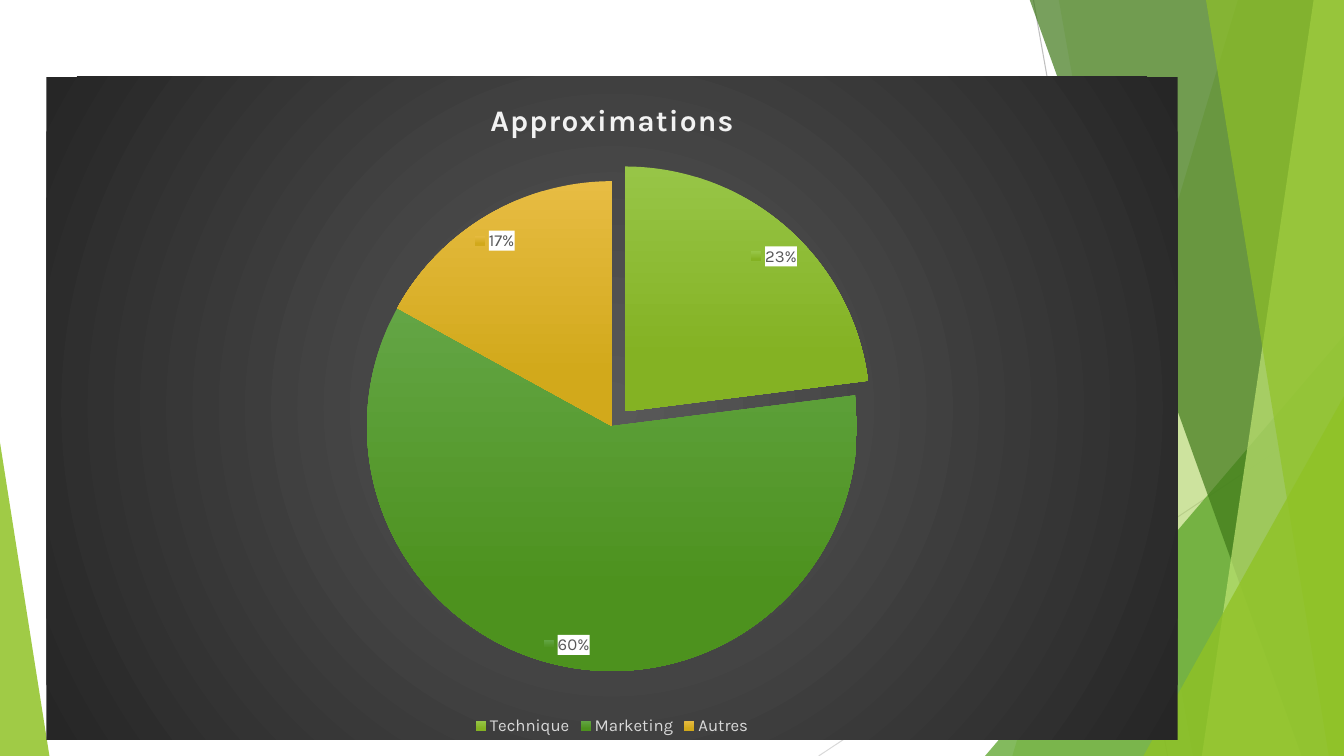
from dataclasses import dataclass

from lxml import etree
from pptx import Presentation
from pptx.chart.data import CategoryChartData
from pptx.dml.color import RGBColor
from pptx.enum import chart as ch, shapes
from pptx.oxml import parse_xml
from pptx.oxml.ns import nsdecls, qn
from pptx.util import Pt

PX = 9144  # 100 px to the inch
WIDTH, HEIGHT = 1333, 750


@dataclass(frozen=True)
class Theme:
    font: str = "Karla"
    title_size: float = 21.3
    text_size: int = 12
    title: str = "F2F2F2"
    legend: str = "D9D9D9"
    label: str = "595959"
    label_back: str = "FFFFFF"
    panel_inner: str = "595959"
    panel_outer: str = "262626"
    lime: str = "90C226"
    green: str = "54A021"
    forest: str = "3F7819"
    pale: str = "C0E474"
    line_dark: str = "BFBFBF"
    line_light: str = "D9D9D9"
    slices: tuple = (("97C547", "84B223"), ("63A545", "4D921E"), ("E7BC43", "D2A91B"))


THEME = Theme()


def rgb(value):
    return RGBColor.from_string(value)


def px(*lengths):
    return [round(n * PX) for n in lengths]


def set_font(font, size, color, bold=False):
    font.name, font.size, font.bold = THEME.font, Pt(size), bold
    font.color.rgb = rgb(color)


def paint(sp, color, opacity):
    """Give a shape a translucent fill and no outline."""
    sp.shadow.inherit = False
    sp.line.fill.background()
    sp.fill.solid()
    sp.fill.fore_color.rgb = rgb(color)
    clr = sp.fill._xPr.find(".//" + qn("a:srgbClr"))
    etree.SubElement(clr, qn("a:alpha")).set("val", str(opacity * 1000))


def add_line(slide, x1, y1, x2, y2, color):
    line = slide.shapes.add_connector(shapes.MSO_CONNECTOR.STRAIGHT, *px(x1, y1, x2, y2))
    line.line.color.rgb = rgb(color)
    line.line.width = Pt(0.75)
    etree.SubElement(line._element.spPr, qn("a:effectLst"))


def add_facet(slide, top_x, bottom_x, color, opacity):
    """Fill the slide from a slanted left edge to its right side."""
    top = -1
    builder = slide.shapes.build_freeform(*px(top_x, top))
    corners = [(WIDTH, top), (WIDTH, HEIGHT), (bottom_x, HEIGHT)]
    builder.add_line_segments([px(*corner) for corner in corners], close=True)
    paint(builder.convert_to_shape(), color, opacity)


def add_corner(slide, left, top, width, apex, color, opacity):
    """Stand a right-angled triangle on the bottom of the slide."""
    sp = slide.shapes.add_shape(shapes.MSO_SHAPE.ISOSCELES_TRIANGLE,
                                *px(left, top, width, HEIGHT - top))
    sp.adjustments[0] = apex
    paint(sp, color, opacity)


def add_backdrop(slide):
    t = THEME
    add_line(slide, 1025, 0, 1158, HEIGHT, t.line_dark)
    add_line(slide, WIDTH, 403, 812, HEIGHT, t.line_light)
    add_facet(slide, 1228, 1004, t.lime, 30)
    add_facet(slide, 1050, 1183, t.lime, 20)
    add_corner(slide, 977, 333, 356, 1, t.green, 72)
    add_facet(slide, 1021, 1291, t.forest, 70)
    add_facet(slide, 1303, 1192, t.pale, 70)
    add_facet(slide, 1196, 1318, t.lime, 65)
    add_corner(slide, 1134, 393, 199, 1, t.lime, 80)
    add_corner(slide, 0, 439, 49, 0, t.lime, 85)


def fill_panel(chart):
    """Put a circular gradient behind the whole chart."""
    stops = "".join(
        f'<a:gs pos="{pos}"><a:srgbClr val="{color}"/></a:gs>'
        for pos, color in ((0, THEME.panel_inner), (100000, THEME.panel_outer)))
    sp_pr = parse_xml(
        f'<c:spPr {nsdecls("c", "a")}><a:gradFill><a:gsLst>{stops}</a:gsLst>'
        '<a:path path="circle"><a:fillToRect l="50000" t="50000" r="50000" b="50000"/>'
        '</a:path></a:gradFill><a:ln><a:noFill/></a:ln></c:spPr>')
    chart._chartSpace.find(qn("c:chart")).addnext(sp_pr)


def style_slices(series):
    for i, colors in enumerate(THEME.slices):
        fmt = series.points[i].format
        fmt.line.fill.background()
        fmt.fill.gradient()
        fmt.fill.gradient_angle = 270
        for stop, color, pos in zip(fmt.fill.gradient_stops, colors, (0, 0.78)):
            stop.color.rgb = rgb(color)
            stop.position = pos
    first = series._element.find(qn("c:dPt"))
    first.find(qn("c:spPr")).addprevious(
        parse_xml(f'<c:explosion {nsdecls("c")} val="8"/>'))


def style_labels(plot):
    plot.has_data_labels = True
    labels = plot.data_labels
    labels.show_percentage = labels.show_legend_key = True
    labels.show_value = False
    labels.number_format, labels.number_format_is_linked = "0%", False
    labels.position = ch.XL_LABEL_POSITION.BEST_FIT
    set_font(labels.font, THEME.text_size, THEME.label)
    labels._element.find(qn("c:txPr")).addprevious(parse_xml(
        f'<c:spPr {nsdecls("c", "a")}><a:solidFill>'
        f'<a:srgbClr val="{THEME.label_back}"/></a:solidFill></c:spPr>'))


def add_pie(slide, left, top, width, height):
    data = CategoryChartData()
    data.categories = ["Technique", "Marketing", "Autres"]
    data.add_series("Approximations", (23, 60, 17))
    chart = slide.shapes.add_chart(ch.XL_CHART_TYPE.PIE,
                                   *px(left, top, width, height), data).chart
    set_font(chart.font, 10, "000000")
    fill_panel(chart)

    chart.has_title = True
    chart.chart_title.include_in_layout = False
    p = chart.chart_title.text_frame.paragraphs[0]
    r = p.add_run()
    r.text = "Approximations"
    set_font(r.font, THEME.title_size, THEME.title, bold=True)
    r._r.get_or_add_rPr().set("spc", "100")

    chart.has_legend = True
    chart.legend.position = ch.XL_LEGEND_POSITION.BOTTOM
    chart.legend.include_in_layout = False
    set_font(chart.legend.font, THEME.text_size, THEME.legend)

    plot = chart.plots[0]
    plot.vary_by_categories = True
    style_slices(plot.series[0])
    style_labels(plot)


def main():
    prs = Presentation()
    prs.slide_width, prs.slide_height = px(WIDTH, HEIGHT)
    slide = prs.slides.add_slide(prs.slide_layouts[6])
    add_backdrop(slide)
    add_pie(slide, 46, 76, 1122, 658)
    prs.save("out.pptx")


if __name__ == "__main__":
    main()
